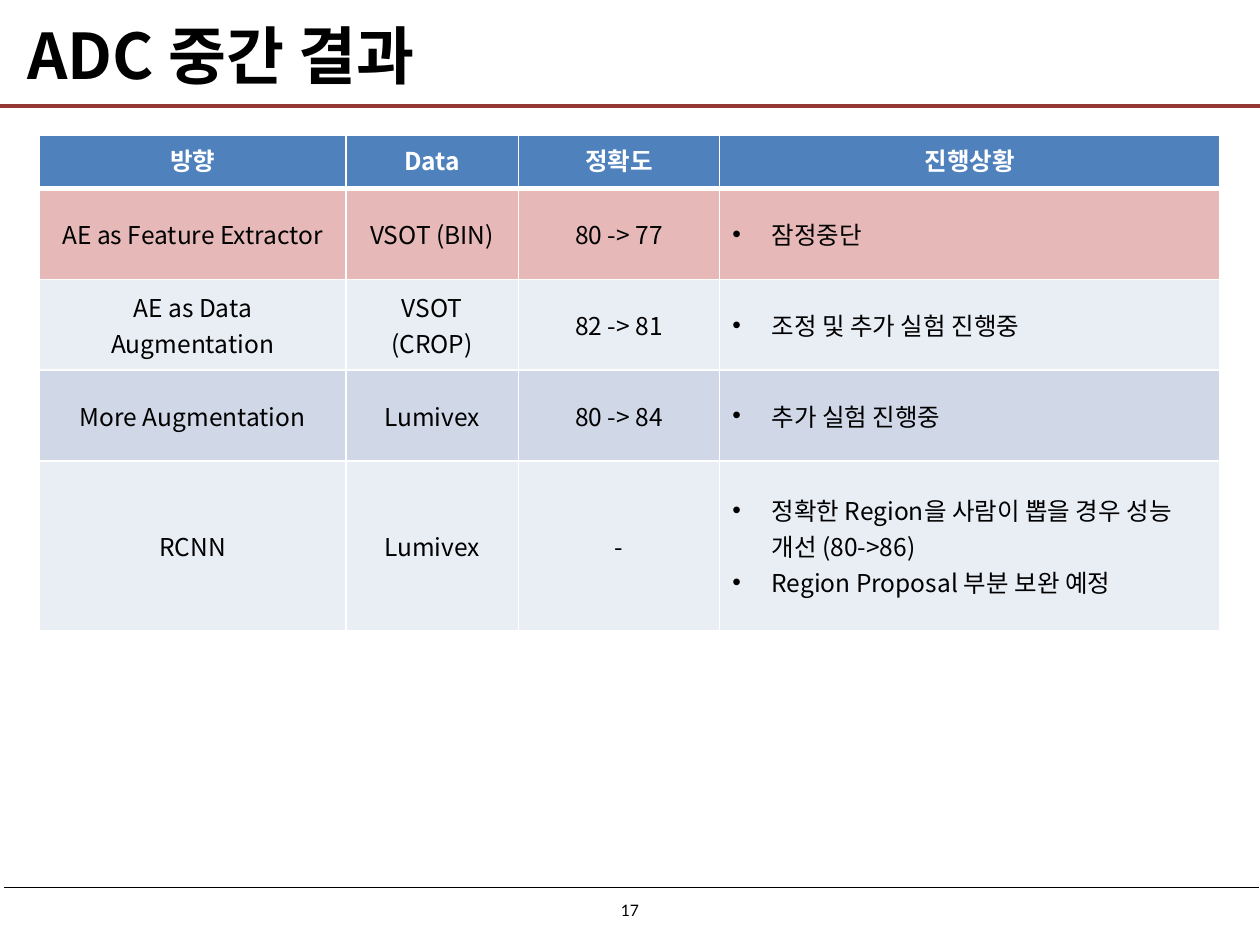
from lxml.etree import SubElement
from pptx import Presentation
from pptx.dml.color import RGBColor
from pptx.enum.shapes import MSO_CONNECTOR
from pptx.enum.text import MSO_ANCHOR, MSO_AUTO_SIZE, PP_ALIGN
from pptx.oxml.ns import qn
from pptx.util import Cm, Pt

TITLE = "ADC 중간 결과"
PAGE_NUMBER = "17"
HEADERS = ["방향", "Data", "정확도", "진행상황"]
RESULTS = [
    ("AE as Feature Extractor", ["VSOT (BIN)"], "80 -> 77", ["잠정중단"]),
    ("AE as Data Augmentation", ["VSOT", "(CROP)"], "82 -> 81", ["조정 및 추가 실험 진행중"]),
    ("More Augmentation", ["Lumivex"], "80 -> 84", ["추가 실험 진행중"]),
    ("RCNN", ["Lumivex"], "-", [
        "정확한 Region을 사람이 뽑을 경우 성능 개선 (80->86)",
        "Region Proposal 부분 보완 예정",
    ]),
]
COLORS = {
    "text": "000000", "white": "FFFFFF", "rule": "953735",
    "header": "4F81BD", "stopped": "E6B9B8", "light": "E9EDF4", "band": "D0D8E8",
}
ROW_FILLS = ["header", "stopped", "light", "band", "light"]
COLUMN_WIDTHS = [6.17, 3.48, 4.06, 10.08]
ROW_HEIGHTS = [1.07, 1.83, 1.83, 1.83, 3.43]
BODY_FONT = "Noto Sans CJK KR"
STATUS_COLUMN = 3


def color(name):
    return RGBColor.from_string(COLORS[name])


def add_span(para, text, size, font=BODY_FONT, shade="text", bold=False):
    span = para.add_run()
    span.text = text
    span.font.size = Pt(size)
    span.font.name = font
    span.font.bold = bold
    span.font.color.rgb = color(shade)
    SubElement(span.font._element, qn("a:ea"), typeface=font)


def add_rule(page, left, right, top, shade, width):
    rule = page.shapes.add_connector(
        MSO_CONNECTOR.STRAIGHT, Cm(left), Cm(top), Cm(right), Cm(top))
    rule.line.color.rgb = color(shade)
    rule.line.width = Pt(width)
    SubElement(rule._element.spPr, qn("a:effectLst"))


def add_bullet(para):
    properties = para._p.get_or_add_pPr()
    indent = Cm(0.79)
    properties.set("marL", str(indent))
    properties.set("indent", str(-indent))
    SubElement(properties, qn("a:buFont"), typeface="Arial")
    SubElement(properties, qn("a:buChar"), char="•")


def add_borders(cell, row):
    widths = {"lnL": 1, "lnR": 1, "lnT": 3 if row == 1 else 1, "lnB": 3 if row == 0 else 1}
    properties = cell._tc.get_or_add_tcPr()
    for side, width in widths.items():
        border = SubElement(properties, qn(f"a:{side}"), w=str(Pt(width)))
        fill = SubElement(border, qn("a:solidFill"))
        SubElement(fill, qn("a:srgbClr"), val=COLORS["white"])


def fill_cell(cell, row, column, lines):
    is_header = row == 0
    add_borders(cell, row)
    cell.fill.solid()
    cell.fill.fore_color.rgb = color(ROW_FILLS[row])
    cell.vertical_anchor = MSO_ANCHOR.TOP if is_header else MSO_ANCHOR.MIDDLE
    frame = cell.text_frame
    for number, line in enumerate(lines):
        para = frame.add_paragraph() if number else frame.paragraphs[0]
        if column == STATUS_COLUMN and not is_header:
            add_bullet(para)
        else:
            para.alignment = PP_ALIGN.CENTER
        add_span(para, line, 14, shade="white" if is_header else "text", bold=is_header)


def add_results(page):
    rows = [HEADERS] + RESULTS
    table = page.shapes.add_table(
        len(rows), len(HEADERS), Cm(0.8), Cm(2.73),
        Cm(sum(COLUMN_WIDTHS)), Cm(sum(ROW_HEIGHTS))).table
    for column, width in zip(table.columns, COLUMN_WIDTHS):
        column.width = Cm(width)
    for table_row, height in zip(table.rows, ROW_HEIGHTS):
        table_row.height = Cm(height)
    for row, entries in enumerate(rows):
        for column, entry in enumerate(entries):
            lines = [entry] if isinstance(entry, str) else entry
            fill_cell(table.cell(row, column), row, column, lines)


def add_title(page):
    title = page.shapes.title
    title.left, title.top, title.width, title.height = Cm(0.3), Cm(0.25), Cm(24.8), Cm(1.68)
    frame = title.text_frame
    frame.vertical_anchor = MSO_ANCHOR.MIDDLE
    frame.auto_size = MSO_AUTO_SIZE.NONE
    para = frame.paragraphs[0]
    para.alignment = PP_ALIGN.LEFT
    add_span(para, TITLE, 36, bold=True)


def add_page_number(page):
    box = page.shapes.add_textbox(Cm(11.81), Cm(18.03), Cm(1.78), Cm(0.64))
    box.text_frame.word_wrap = True
    para = box.text_frame.paragraphs[0]
    para.alignment = PP_ALIGN.CENTER
    add_span(para, PAGE_NUMBER, 9, font="Lato")


def main():
    deck = Presentation()
    deck.slide_width, deck.slide_height = Cm(25.4), Cm(19.05)
    page = deck.slides.add_slide(deck.slide_layouts[5])
    add_rule(page, 0.08, 25.37, 17.88, "text", 0.5)
    add_rule(page, 0, 25.4, 2.13, "rule", 2.25)
    add_page_number(page)
    add_title(page)
    add_results(page)
    deck.save("out.pptx")


if __name__ == "__main__":
    main()
